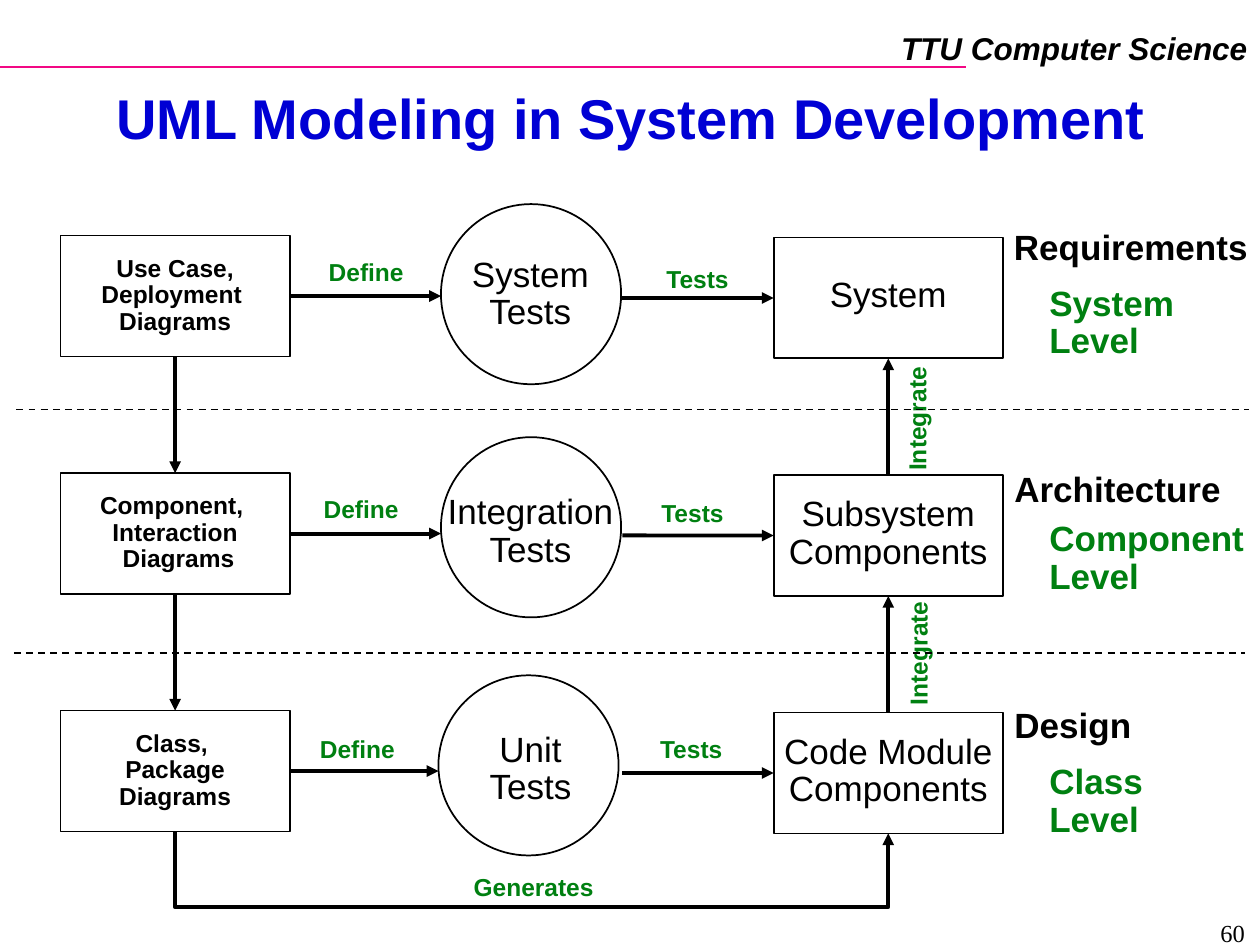
"""Build the slide that relates UML diagrams, tests and components at three levels."""
from dataclasses import dataclass

from lxml.etree import SubElement
from pptx import Presentation
from pptx.dml.color import RGBColor
from pptx.enum.dml import MSO_LINE
from pptx.enum.shapes import MSO_CONNECTOR, MSO_SHAPE
from pptx.enum.text import MSO_ANCHOR, MSO_AUTO_SIZE, PP_ALIGN
from pptx.oxml.ns import qn
from pptx.util import Inches, Pt


@dataclass(frozen=True)
class Theme:
    font: str = "Arial"
    number_font: str = "Times New Roman"
    ink: str = "000000"
    title: str = "0000D4"
    green: str = "008011"
    rule: str = "F20884"
    title_size: int = 32
    large: int = 20
    header_size: int = 18
    small: int = 14
    thin: float = 1
    thick: float = 2.25


THEME = Theme()
TITLE = "UML Modeling in System Development"
HEADER = "TTU Computer Science"
PAGE_NUMBER = "60"

ROWS = [
    {
        "diagrams": "Use Case,\nDeployment \nDiagrams", "diagrams_width": 1.37,
        "tests": "System\nTests", "tests_width": 1.13, "circle": (3.5, 1.62),
        "product": "System", "product_width": 1.13,
        "stage": ("Requirements", 1.78, 2.05), "level": ("System\nLevel", 2.22, 1.19),
        "define": (2.51, 2.02), "test": (5.19, 2.07),
    },
    {
        "diagrams": "Component, \nInteraction\v Diagrams", "diagrams_width": 1.83,
        "tests": "Integration\nTests", "tests_width": 1.51, "circle": (3.5, 3.47),
        "product": "Subsystem\nComponents", "product_width": 1.78,
        "stage": ("Architecture", 3.7, 1.84), "level": ("Component\nLevel", 4.09, 1.74),
        "define": (2.47, 3.9), "test": (5.15, 3.93),
    },
    {
        "diagrams": "Class, \nPackage\nDiagrams", "diagrams_width": 1.97,
        "tests": "Unit\nTests", "tests_width": 0.88, "circle": (3.48, 5.36),
        "product": "Code Module\nComponents", "product_width": 1.85,
        "stage": ("Design", 5.57, 1.13), "level": ("Class\nLevel", 6.02, 0.94),
        "define": (2.44, 5.8), "test": (5.14, 5.8),
    },
]
INTEGRATE_LABELS = [(6.78, 3.17), (6.79, 5.03)]
DIVIDERS = [((0.13, 3.25), (9.91, 3.25)), ((0.11, 5.18), (9.88, 5.18))]

FIRST_TOP, ROW_PITCH = 1.87, 1.885
LEFT_X, RIGHT_X, RIGHT_DROP = 0.48, 6.14, 0.015
BOX_WIDTH, BOX_HEIGHT, CIRCLE_SIZE = 1.82, 0.96, 1.43
LEFT_CENTER, RIGHT_CENTER = LEFT_X + BOX_WIDTH / 2, RIGHT_X + BOX_WIDTH / 2
CIRCLE_CENTER, CIRCLE_EDGE = 4.21, 4.94
GENERATES_Y = 7.2
TOP, LEFT, BOTTOM, RIGHT = range(4)


def style_text(frame, text, size, color=THEME.ink, bold=False, italic=False,
               align=PP_ALIGN.LEFT, spacing=0.9, font=THEME.font):
    frame.text = text
    for paragraph in frame.paragraphs:
        paragraph.alignment = align
        paragraph.line_spacing = spacing
        paragraph.font.name = font
        paragraph.font.size = Pt(size)
        paragraph.font.bold = bold
        paragraph.font.italic = italic
        paragraph.font.color.rgb = RGBColor.from_string(color)


def add_text(page, text, at, size, wrap=False, align=PP_ALIGN.LEFT, **style):
    box = page.shapes.add_textbox(*map(Inches, at))
    frame = box.text_frame
    style_text(frame, text, size, align=align, **style)
    frame.word_wrap = wrap
    frame.auto_size = MSO_AUTO_SIZE.NONE
    if align != PP_ALIGN.RIGHT:
        frame.margin_right = 0
    if align == PP_ALIGN.CENTER:
        frame.margin_left = 0
    return box


def add_centered_text(page, text, center, width, height, size, bold=False):
    x, y = center
    add_text(page, text, (x - width / 2, y - height / 2, width, height), size,
             wrap=True, bold=bold, align=PP_ALIGN.CENTER)


def add_green_label(page, text, at, width):
    return add_text(page, text, (*at, width, 0.31), THEME.small, wrap=True,
                    color=THEME.green, bold=True)


def style_line(line, color, width, arrow=None):
    line.color.rgb = RGBColor.from_string(color)
    line.width = Pt(width)
    if arrow:
        SubElement(line._get_or_add_ln(), qn(f"a:{arrow}"), type="triangle")


def add_outline(page, kind, at, width, height):
    shape = page.shapes.add_shape(kind, *map(Inches, (*at, width, height)))
    shape.shadow.inherit = False
    shape.fill.background()
    style_line(shape.line, THEME.ink, THEME.thin)
    return shape


def add_line(page, start, end, color=THEME.ink, width=THEME.thin, arrow=None):
    line = page.shapes.add_connector(MSO_CONNECTOR.STRAIGHT, *map(Inches, (*start, *end)))
    style_line(line.line, color, width, arrow)
    SubElement(line._element.spPr, qn("a:effectLst"))
    return line


def add_arrow(page, start, end, source=None, target=None):
    arrow = add_line(page, start, end, width=THEME.thick, arrow="tailEnd")
    if source:
        arrow.begin_connect(*source)
    if target:
        arrow.end_connect(*target)


def add_row(page, row, top):
    left_box = add_outline(page, MSO_SHAPE.RECTANGLE, (LEFT_X, top), BOX_WIDTH, BOX_HEIGHT)
    right_box = add_outline(page, MSO_SHAPE.RECTANGLE, (RIGHT_X, top + RIGHT_DROP),
                            BOX_WIDTH, BOX_HEIGHT)
    add_outline(page, MSO_SHAPE.OVAL, row["circle"], CIRCLE_SIZE, CIRCLE_SIZE)

    middle = top + BOX_HEIGHT / 2
    right_middle = middle + RIGHT_DROP
    add_centered_text(page, row["diagrams"], (LEFT_CENTER, middle),
                      row["diagrams_width"], 0.73, THEME.small, bold=True)
    add_centered_text(page, row["tests"], (CIRCLE_CENTER, middle - 0.01),
                      row["tests_width"], 0.7, THEME.large)
    add_centered_text(page, row["product"], (RIGHT_CENTER, right_middle - 0.01),
                      row["product_width"], 0.7 if "\n" in row["product"] else 0.4,
                      THEME.large)

    add_arrow(page, (LEFT_X + BOX_WIDTH, middle), (row["circle"][0], middle),
              source=(left_box, RIGHT))
    add_arrow(page, (CIRCLE_EDGE, right_middle), (RIGHT_X, right_middle),
              target=(right_box, LEFT))
    add_green_label(page, "Define", row["define"], 0.79)
    add_green_label(page, "Tests", row["test"], 0.71)

    stage, stage_top, stage_width = row["stage"]
    add_text(page, stage, (7.95, stage_top, stage_width, 0.4), THEME.large,
             wrap=True, bold=True, align=PP_ALIGN.CENTER)
    level, level_top, level_width = row["level"]
    add_text(page, level, (8.23, level_top, level_width, 0.7), THEME.large,
             wrap=True, color=THEME.green, bold=True)
    return left_box, right_box


def add_generates_path(page, bottom):
    points = [(LEFT_CENTER, bottom), (LEFT_CENTER, GENERATES_Y),
              (RIGHT_CENTER, GENERATES_Y), (RIGHT_CENTER, bottom + RIGHT_DROP)]
    corners = [(Inches(x), Inches(y)) for x, y in points]
    builder = page.shapes.build_freeform(*corners[0])
    builder.add_line_segments(corners[1:], close=False)
    shape = builder.convert_to_shape()
    shape.shadow.inherit = False
    shape.fill.background()
    style_line(shape.line, THEME.ink, THEME.thick, "tailEnd")
    add_green_label(page, "Generates", (3.66, 6.9), 1.15)


def main():
    deck = Presentation()
    deck.slide_width, deck.slide_height = Inches(10), Inches(7.5)
    page = deck.slides.add_slide(deck.slide_layouts[5])

    add_line(page, (0, 0.53), (7.67, 0.53), color=THEME.rule)
    add_text(page, HEADER, (7.05, 0.18, 2.95, 0.4), THEME.header_size, bold=True,
             italic=True, align=PP_ALIGN.RIGHT, spacing=1.0)
    title = page.shapes.title
    title.left, title.top, title.width, title.height = map(Inches, (0.53, 0.66, 8.96, 0.61))
    style_text(title.text_frame, TITLE, THEME.title_size, color=THEME.title, bold=True,
               align=PP_ALIGN.CENTER, spacing=0.87)
    title.text_frame.vertical_anchor = MSO_ANCHOR.MIDDLE

    tops = [FIRST_TOP + ROW_PITCH * index for index in range(len(ROWS))]
    boxes = [add_row(page, row, top) for row, top in zip(ROWS, tops)]
    for index, (upper, lower) in enumerate(zip(boxes, boxes[1:])):
        upper_bottom, lower_top = tops[index] + BOX_HEIGHT, tops[index + 1]
        add_arrow(page, (LEFT_CENTER, upper_bottom), (LEFT_CENTER, lower_top),
                  (upper[0], BOTTOM), (lower[0], TOP))
        add_arrow(page, (RIGHT_CENTER, lower_top), (RIGHT_CENTER, upper_bottom),
                  (lower[1], TOP), (upper[1], BOTTOM))
    add_generates_path(page, tops[-1] + BOX_HEIGHT)

    for at in INTEGRATE_LABELS:
        add_green_label(page, "Integrate", at, 1.02).rotation = 270
    for start, end in DIVIDERS:
        add_line(page, start, end).line.dash_style = MSO_LINE.DASH
    add_text(page, PAGE_NUMBER, (7.65, 7.24, 2.33, 0.22), THEME.small, wrap=True,
             align=PP_ALIGN.RIGHT, spacing=1.0, font=THEME.number_font)
    deck.save("out.pptx")


if __name__ == "__main__":
    main()
